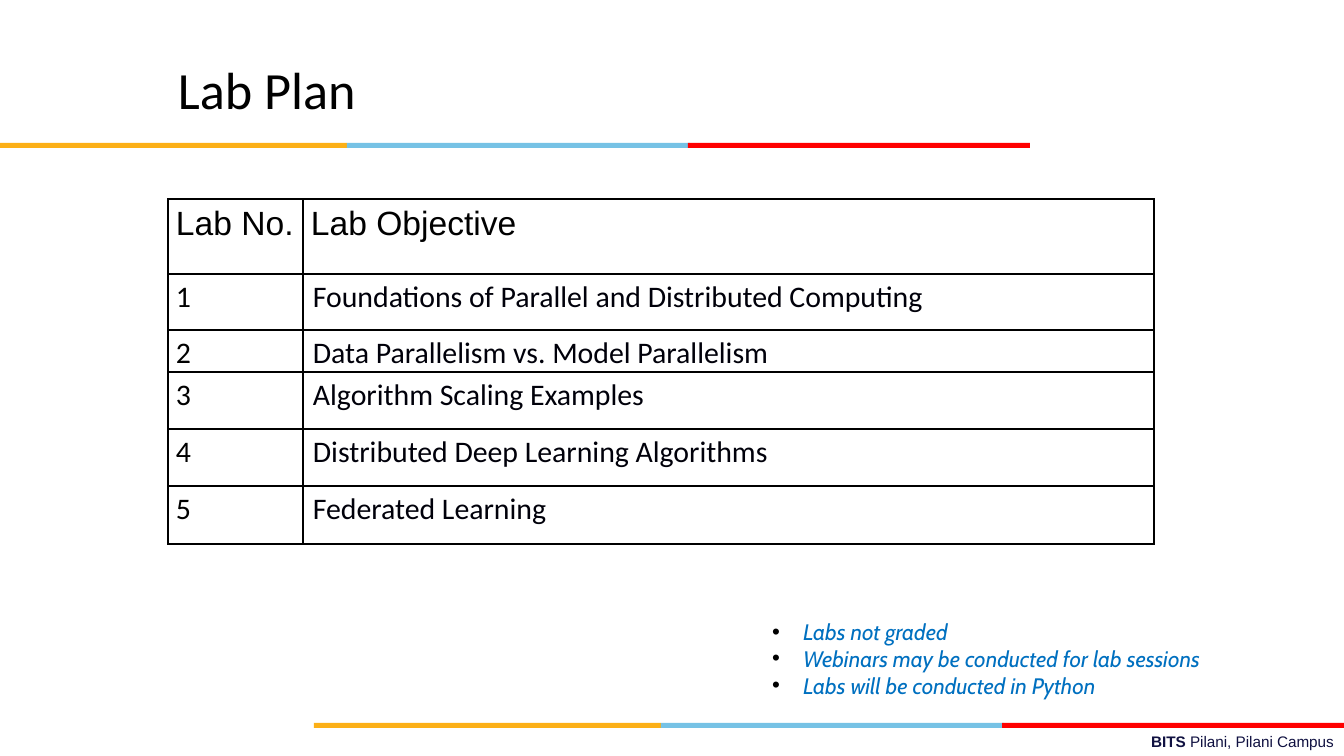
"""Build the Lab Plan slide."""
from dataclasses import dataclass

from lxml.etree import SubElement
from pptx import Presentation
from pptx.dml.color import RGBColor
from pptx.enum.shapes import MSO_SHAPE
from pptx.enum.text import MSO_ANCHOR, MSO_AUTO_SIZE, PP_ALIGN
from pptx.oxml.ns import qn
from pptx.util import Emu, Pt

BLACK = RGBColor(0x00, 0x00, 0x00)
WHITE = RGBColor(0xFF, 0xFF, 0xFF)
INK = RGBColor(0x00, 0x00, 0x0A)
NAVY = RGBColor(0x10, 0x11, 0x41)
BLUE = RGBColor(0x00, 0x70, 0xC0)
AMBER = RGBColor(0xFC, 0xB0, 0x17)
SKY = RGBColor(0x76, 0xC2, 0xE5)
RED = RGBColor(0xFF, 0x00, 0x00)


@dataclass(frozen=True)
class Box:
    x: int
    y: int
    w: int
    h: int


@dataclass(frozen=True)
class Font:
    name: str
    size: float
    color: RGBColor
    bold: bool = False
    italic: bool = False


@dataclass(frozen=True)
class Segment:
    x: int
    w: int
    color: RGBColor


STRIPE = (Segment(0, 347, AMBER), Segment(347, 343, SKY), Segment(688, 342, RED))
COLS = (135, 851)
ROWS = (75, 56, 42, 57, 57, 58)
HEADER = ("Lab No.", "Lab Objective")
LABS = (
    "Foundations of Parallel and Distributed Computing",
    "Data Parallelism vs. Model Parallelism",
    "Algorithm Scaling Examples",
    "Distributed Deep Learning Algorithms",
    "Federated Learning",
)
NOTES = (
    "Labs not graded",
    "Webinars may be conducted for lab sessions",
    "Labs will be conducted in Python",
)


def px(n: int) -> Emu:
    """Turn pixels into EMU."""
    return Emu(round(n * 914400 / 134.4))


def place(sp, box: Box) -> None:
    """Move and size a shape."""
    sp.left, sp.top, sp.width, sp.height = map(px, (box.x, box.y, box.w, box.h))


def style(r, font: Font) -> None:
    """Format one run."""
    r.font.name, r.font.size = font.name, Pt(font.size)
    r.font.bold, r.font.italic = font.bold, font.italic
    r.font.color.rgb = font.color


def setup_frame(tf, anchor=MSO_ANCHOR.TOP) -> None:
    """Set wrapping, insets and anchor of a text frame."""
    tf.word_wrap = True
    tf.auto_size = MSO_AUTO_SIZE.NONE
    tf.vertical_anchor = anchor
    tf.margin_left = tf.margin_right = px(10)
    tf.margin_top = tf.margin_bottom = px(5)


def draw_stripe(s, x: int, y: int) -> None:
    """Draw the three-colour stripe."""
    for seg in STRIPE:
        sp = s.shapes.add_shape(MSO_SHAPE.RECTANGLE, px(x + seg.x), px(y), px(seg.w), px(5))
        sp.shadow.inherit = False
        sp.fill.solid()
        sp.fill.fore_color.rgb = seg.color
        sp.line.fill.background()


def draw_footer(s, box: Box) -> None:
    """Write the campus line."""
    sp = s.shapes.add_textbox(0, 0, 0, 0)
    place(sp, box)
    setup_frame(sp.text_frame)
    p = sp.text_frame.paragraphs[0]
    p.alignment = PP_ALIGN.RIGHT
    for text, bold in (("BITS ", True), ("Pilani, Pilani Campus", False)):
        r = p.add_run()
        r.text = text
        style(r, Font("Arial", 8.2, NAVY, bold=bold))


def draw_title(sp, text: str, box: Box) -> None:
    """Fill the title placeholder."""
    place(sp, box)
    setup_frame(sp.text_frame, MSO_ANCHOR.MIDDLE)
    sp.text_frame.text = text
    p = sp.text_frame.paragraphs[0]
    p.alignment = PP_ALIGN.LEFT
    style(p.runs[0], Font("Calibri", 28, BLACK))


def add_borders(cell) -> None:
    """Give a cell thin black borders."""
    tc_pr = cell._tc.get_or_add_tcPr()
    for side in ("a:lnL", "a:lnR", "a:lnT", "a:lnB"):
        ln = SubElement(tc_pr, qn(side), w=str(Pt(1)))
        fill = SubElement(ln, qn("a:solidFill"))
        SubElement(fill, qn("a:srgbClr"), val=str(BLACK))


def fill_cell(cell, text: str, font: Font, inset: int) -> None:
    """Write and format one table cell."""
    add_borders(cell)
    cell.fill.solid()
    cell.fill.fore_color.rgb = WHITE
    cell.margin_left = cell.margin_right = px(inset)
    cell.margin_top = cell.margin_bottom = 0
    cell.text_frame.text = text
    p = cell.text_frame.paragraphs[0]
    p.line_spacing = 1.15
    style(p.runs[0], font)


def draw_table(s, x: int, y: int) -> None:
    """Draw the table of labs."""
    frame = s.shapes.add_table(len(ROWS), len(COLS), px(x), px(y), px(sum(COLS)), px(sum(ROWS)))
    table = frame.table
    table.first_row = table.horz_banding = False
    for col, w in zip(table.columns, COLS):
        col.width = px(w)
    for row, h in zip(table.rows, ROWS):
        row.height = px(h)
    for j, text in enumerate(HEADER):
        fill_cell(table.cell(0, j), text, Font("Arial", 18, BLACK), 8)
    for i, lab in enumerate(LABS, 1):
        fill_cell(table.cell(i, 0), str(i), Font("Calibri", 16, BLACK), 8)
        fill_cell(table.cell(i, 1), lab, Font("Calibri", 16, INK), 10)


def add_bullet(p) -> None:
    """Give a paragraph a black bullet and hanging indent."""
    p_pr = p._p.get_or_add_pPr()
    p_pr.set("marL", str(px(31)))
    p_pr.set("indent", str(px(-31)))
    color = SubElement(p_pr, qn("a:buClr"))
    SubElement(color, qn("a:srgbClr"), val=str(BLACK))
    SubElement(p_pr, qn("a:buFont"), typeface="Arial")
    SubElement(p_pr, qn("a:buChar"), char="•")


def draw_notes(sp, box: Box) -> None:
    """Fill the body placeholder with the notes."""
    place(sp, box)
    tf = sp.text_frame
    setup_frame(tf)
    tf.text = "\n".join(NOTES)
    for p in tf.paragraphs:
        add_bullet(p)
        p.space_before = Pt(0)
        style(p.runs[0], Font("Cabin", 12, BLUE, italic=True))


def main() -> None:
    """Build and save the presentation."""
    prs = Presentation()
    prs.slide_width, prs.slide_height = px(1344), px(756)
    s = prs.slides.add_slide(prs.slide_layouts[1])
    draw_footer(s, Box(481, 727, 863, 28))
    draw_stripe(s, 314, 723)
    draw_stripe(s, 0, 143)
    draw_title(s.shapes.title, "Lab Plan", Box(168, 42, 675, 94))
    draw_table(s, 168, 199)
    draw_notes(s.placeholders[1], Box(762, 613, 493, 91))
    prs.save("out.pptx")


if __name__ == "__main__":
    main()
